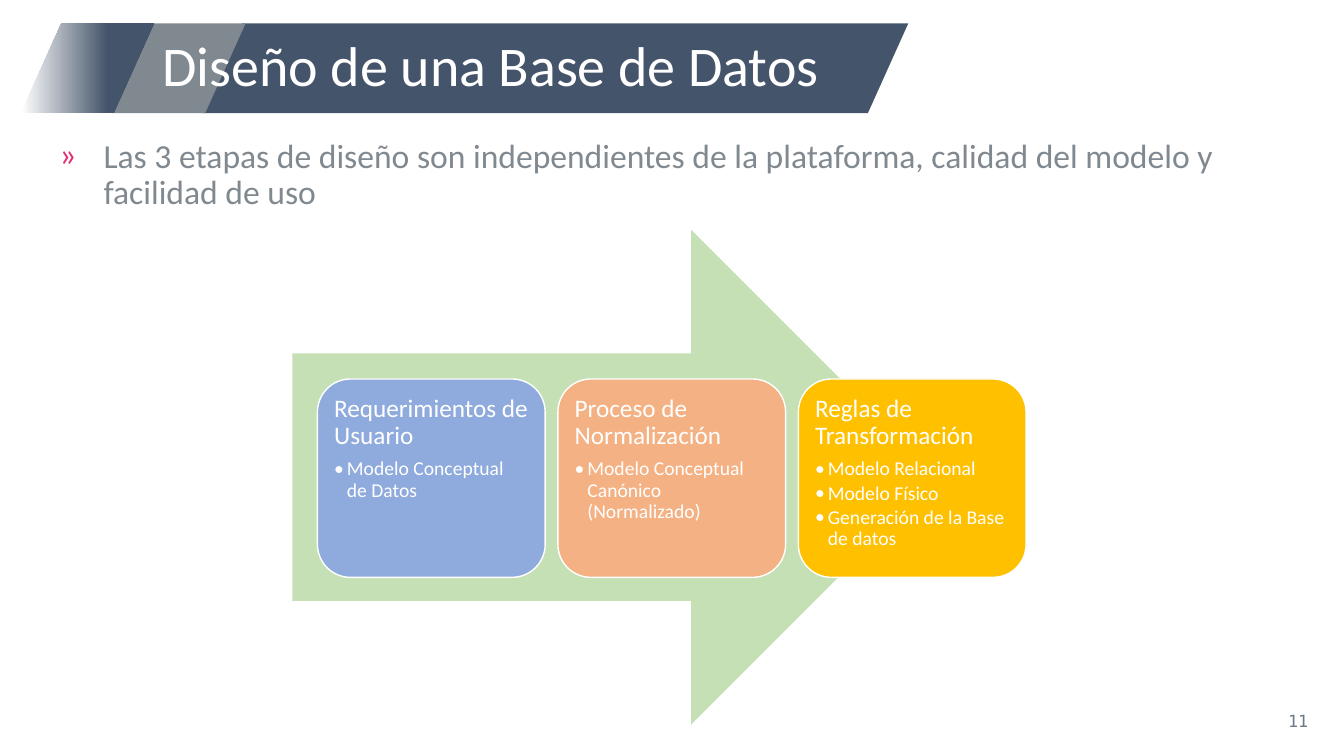
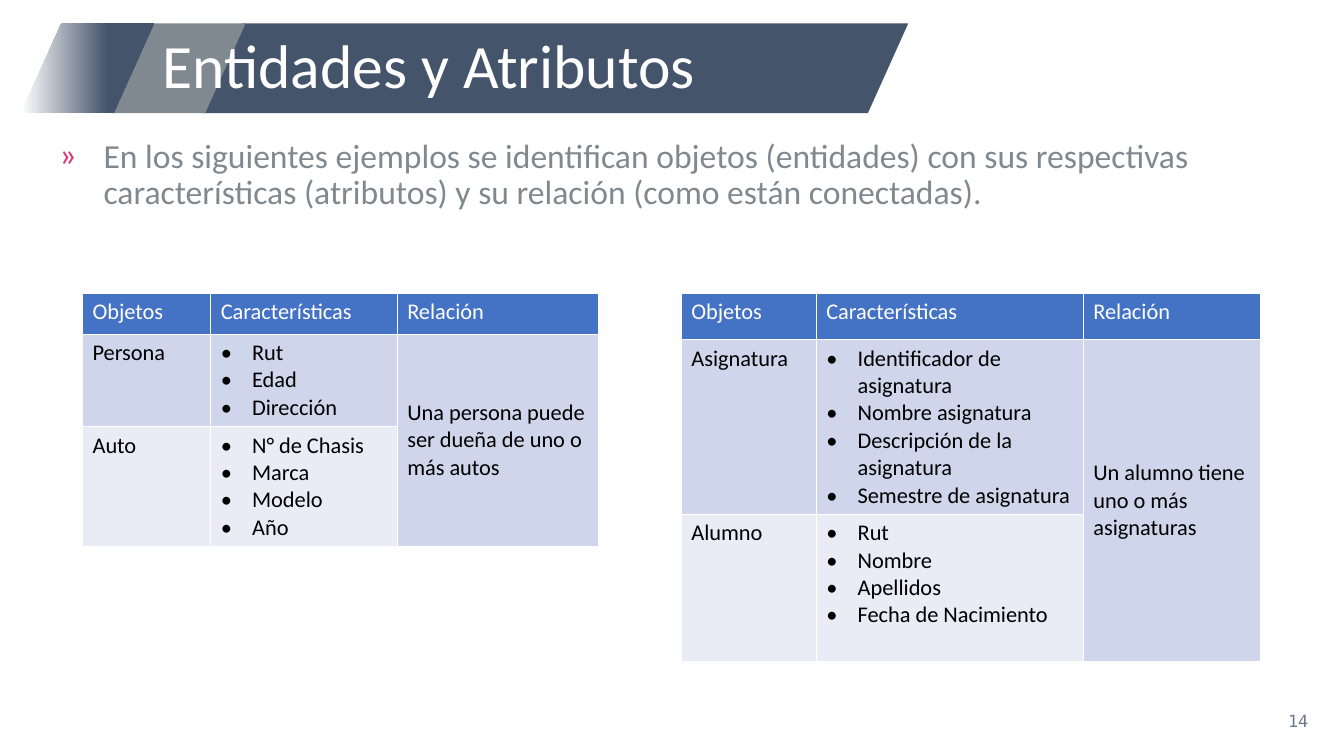
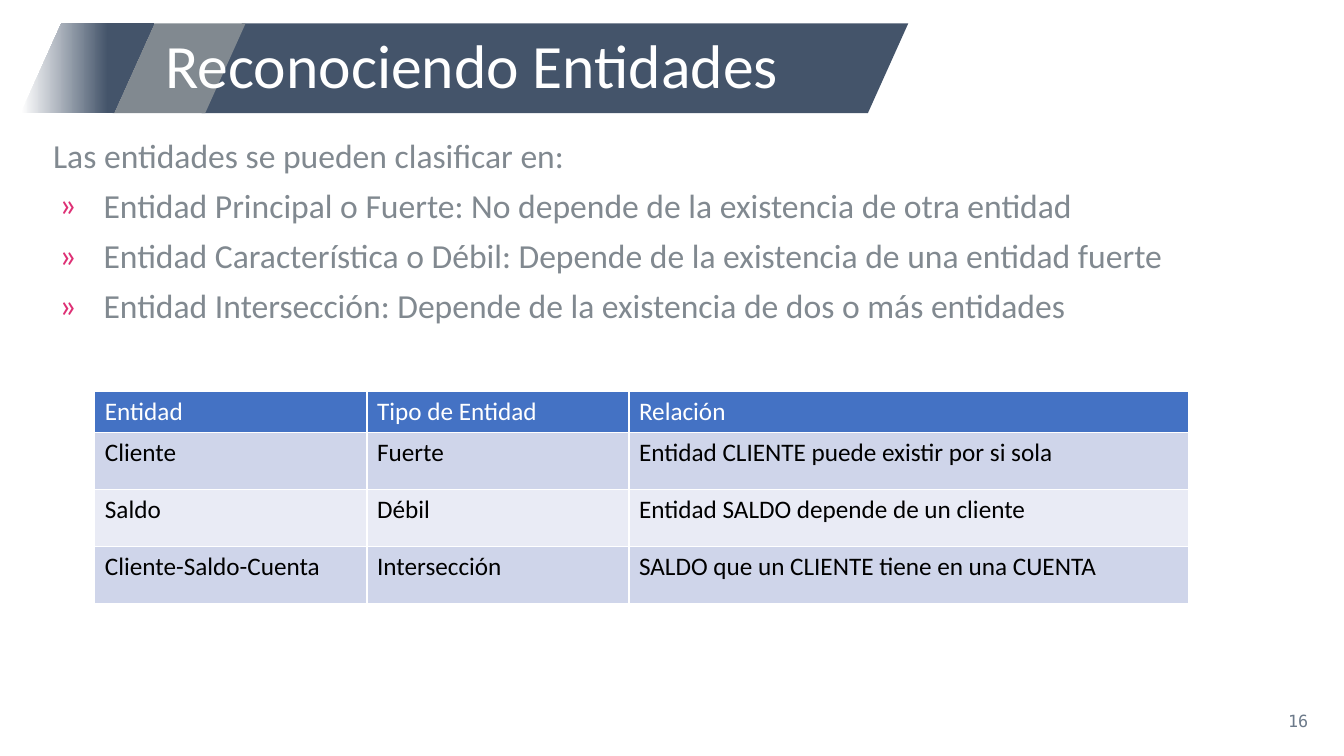
from dataclasses import dataclass

from lxml.etree import SubElement
from pptx import Presentation
from pptx.dml.color import RGBColor
from pptx.enum.shapes import MSO_SHAPE
from pptx.enum.text import MSO_ANCHOR, MSO_AUTO_SIZE, PP_ALIGN
from pptx.oxml.ns import qn
from pptx.util import Cm, Pt


@dataclass(frozen=True)
class Theme:
    font: str = "Calibri"
    number_font: str = "DejaVu Sans Mono"
    white: str = "FFFFFF"
    black: str = "000000"
    navy: str = "44546A"
    grey: str = "818990"
    number: str = "6C7A8A"
    accent: str = "DE3075"
    arrow: str = "C5E0B4"
    blue: str = "8FAADC"
    orange: str = "F4B183"
    gold: str = "FFC000"
    header: str = "4472C4"
    rows: tuple = ("CFD5EA", "E9EBF5")
    title_size: int = 44
    long_title_size: int = 40
    body_size: int = 24
    card_size: int = 18
    item_size: int = 14
    number_size: int = 12


THEME = Theme()
BAND_TOP, BAND_HEIGHT = 0.59, 2.26


def rgb(color):
    return RGBColor.from_string(color)


def apply_format(target, values):
    for name, value in values.items():
        setattr(target, name, value)


def write(paragraph, text, size, color, font=THEME.font, **values):
    apply_format(paragraph, values)
    run = paragraph.add_run()
    run.text = text
    apply_format(run.font, {"size": Pt(size), "name": font, "bold": False})
    run.font.color.rgb = rgb(color)


def add_bullet(paragraph, char, left, hanging, color=None):
    properties = paragraph._p.get_or_add_pPr()
    properties.set("marL", str(Cm(left)))
    properties.set("indent", str(-Cm(hanging)))
    if color:
        SubElement(SubElement(properties, qn("a:buClr")), qn("a:srgbClr")).set("val", color)
    SubElement(properties, qn("a:buFont")).set("typeface", THEME.font)
    SubElement(properties, qn("a:buChar")).set("char", char)


def next_paragraph(frame, index):
    return frame.add_paragraph() if index else frame.paragraphs[0]


def add_panel(slide, kind, box, color, outline=None):
    panel = slide.shapes.add_shape(kind, *map(Cm, box))
    panel.shadow.inherit = False
    panel.fill.solid()
    panel.fill.fore_color.rgb = rgb(color)
    if outline:
        panel.line.color.rgb = rgb(outline)
        panel.line.width = Pt(1)
    else:
        panel.line.fill.background()
    return panel


def add_text_frame(slide, box, **values):
    frame = slide.shapes.add_textbox(*map(Cm, box)).text_frame
    apply_format(frame, {"word_wrap": True, **values})
    return frame


def add_bands_to_layout(slide):
    layout = slide.slide_layout
    for holder in list(layout.placeholders):
        if holder.placeholder_format.idx:
            layout.shapes.element.remove(holder.element)
    for left, width, color in (
        (5.08, 17.81, THEME.navy), (2.84, 3.35, THEME.grey), (0.53, 3.35, None),
    ):
        band = add_panel(slide, MSO_SHAPE.PARALLELOGRAM,
                         (left, BAND_TOP, width, BAND_HEIGHT), color or THEME.navy)
        band.adjustments[0] = 0.45
        if color is None:
            band.fill.gradient()
            band.fill.gradient_angle = 0
            fade = ((0, THEME.white), (0.65, THEME.navy))
            for stop, (position, stop_color) in zip(band.fill.gradient_stops, fade):
                stop.position = position
                stop.color.rgb = rgb(stop_color)
        layout.shapes.element.append(band.element)


def add_slide(prs, title, number, size=THEME.title_size, left=3.84):
    slide = prs.slides.add_slide(prs.slide_layouts[5])
    heading = slide.shapes.title
    apply_format(heading, {"left": Cm(left), "top": Cm(BAND_TOP),
                           "width": Cm(19), "height": Cm(BAND_HEIGHT)})
    apply_format(heading.text_frame, {"vertical_anchor": MSO_ANCHOR.MIDDLE,
                                      "auto_size": MSO_AUTO_SIZE.NONE})
    write(heading.text_frame.paragraphs[0], title, size, THEME.white,
          alignment=PP_ALIGN.LEFT, line_spacing=0.9)
    footer = add_text_frame(slide, (25.6, 17.65, 7.62, 1.02),
                            vertical_anchor=MSO_ANCHOR.MIDDLE)
    write(footer.paragraphs[0], str(number), THEME.number_size, THEME.number,
          THEME.number_font, alignment=PP_ALIGN.RIGHT)
    return slide


def add_body(slide, points, intro=None):
    frame = add_text_frame(slide, (1.09, 3.38, 31.7, 14.27))
    lines = ([intro] if intro else []) + points
    for index, line in enumerate(lines):
        paragraph = next_paragraph(frame, index)
        if line != intro:
            add_bullet(paragraph, "»", 1.27, 1.11, THEME.accent)
        write(paragraph, line, THEME.body_size, THEME.grey, line_spacing=0.9,
              space_before=Pt(10 if index else 0))


def add_card(slide, box, color, heading, items):
    card = add_panel(slide, MSO_SHAPE.ROUNDED_RECTANGLE, box, color, THEME.white)
    frame = card.text_frame
    margins = {f"margin_{side}": Cm(0.18) for side in ("left", "top", "right", "bottom")}
    apply_format(frame, {"word_wrap": True, "vertical_anchor": MSO_ANCHOR.TOP, **margins})
    write(frame.paragraphs[0], heading, THEME.card_size, THEME.white,
          alignment=PP_ALIGN.LEFT, line_spacing=0.9, space_after=Pt(6.3))
    for item in items:
        paragraph = frame.add_paragraph()
        add_bullet(paragraph, "•", 0.32, 0.32)
        write(paragraph, item, THEME.item_size, THEME.white,
              alignment=PP_ALIGN.LEFT, line_spacing=0.9, space_after=Pt(2.1))


def style_cell(cell, color):
    properties = cell._tc.get_or_add_tcPr()
    for side in ("L", "R", "T", "B"):
        border = SubElement(properties, qn(f"a:ln{side}"), w=str(Pt(1)))
        SubElement(SubElement(border, qn("a:solidFill")), qn("a:srgbClr")).set("val", THEME.white)
    cell.fill.solid()
    cell.fill.fore_color.rgb = rgb(color)


def fill_cell(cell, content, size, color):
    bulleted = isinstance(content, list)
    for index, line in enumerate(content if bulleted else [content]):
        paragraph = next_paragraph(cell.text_frame, index)
        if bulleted:
            add_bullet(paragraph, "•", 0.79, 0.79)
        write(paragraph, line, size, color)


def add_grid(slide, left, top, widths, heights, size, rows):
    grid = slide.shapes.add_table(len(heights), len(widths), Cm(left), Cm(top),
                                  Cm(sum(widths)), Cm(sum(heights))).table
    grid.horz_banding = False
    for column, width in zip(grid.columns, widths):
        column.width = Cm(width)
    for r, (height, row) in enumerate(zip(heights, rows)):
        grid.rows[r].height = Cm(height)
        for c, content in enumerate(row):
            cell = grid.cell(r, c)
            style_cell(cell, THEME.rows[(r - 1) % 2] if r else THEME.header)
            if content is None:
                above = grid.cell(r - 1, c)
                above.merge(cell)
                above.vertical_anchor = MSO_ANCHOR.MIDDLE
            else:
                fill_cell(cell, content, size, THEME.black if r else THEME.white)


def build_design_stages(prs):
    slide = add_slide(prs, "Diseño de una Base de Datos", 11, THEME.long_title_size)
    add_bands_to_layout(slide)
    add_body(slide, ["Las 3 etapas de diseño son independientes de la plataforma, "
                     "calidad del modelo y facilidad de uso"])
    add_panel(slide, MSO_SHAPE.RIGHT_ARROW, (7.37, 5.79, 16.28, 12.47), THEME.arrow)
    stages = (
        (THEME.blue, "Requerimientos de Usuario", ["Modelo Conceptual de Datos"]),
        (THEME.orange, "Proceso de Normalización",
         ["Modelo Conceptual Canónico (Normalizado)"]),
        (THEME.gold, "Reglas de Transformación",
         ["Modelo Relacional", "Modelo Físico", "Generación de la Base de datos"]),
    )
    width, gap = 5.74, 0.32
    for index, stage in enumerate(stages):
        add_card(slide, (8 + index * (width + gap), 9.55, width, 5), *stage)


def build_attributes(prs):
    slide = add_slide(prs, "Entidades y Atributos", 14)
    add_body(slide, ["En los siguientes ejemplos se identifican objetos (entidades) con sus "
                     "respectivas características (atributos) y su relación "
                     "(como están conectadas)."])
    header = ("Objetos", "Características", "Relación")
    top, size = 7.39, 16
    add_grid(slide, 2.08, top, (3.23, 4.7, 5.08), (1.03, 2.33, 3.02), size, (
        header,
        ("Persona", ["Rut", "Edad", "Dirección"],
         "Una persona puede ser dueña de uno o más autos"),
        ("Auto", ["N° de Chasis", "Marca", "Modelo", "Año"], None),
    ))
    add_grid(slide, 17.17, top, (3.4, 6.73, 4.47), (1.17, 4.4, 3.71), size, (
        header,
        ("Asignatura",
         ["Identificador de asignatura", "Nombre asignatura",
          "Descripción de la asignatura", "Semestre de asignatura"],
         "Un alumno tiene uno o más asignaturas"),
        ("Alumno", ["Rut", "Nombre", "Apellidos", "Fecha de Nacimiento"], None),
    ))


def build_entity_types(prs):
    slide = add_slide(prs, "Reconociendo Entidades", 16, left=3.91)
    add_body(slide, [
        "Entidad Principal o Fuerte: No depende de la existencia de otra entidad",
        "Entidad Característica o Débil: Depende de la existencia de una entidad fuerte",
        "Entidad Intersección: Depende de la existencia de dos o más entidades",
    ], intro="Las entidades se pueden clasificar en:")
    add_grid(slide, 2.39, 9.86, (6.86, 6.6, 14.1), (1.03, 1.44, 1.44, 1.44), 18, (
        ("Entidad", "Tipo de Entidad", "Relación"),
        ("Cliente", "Fuerte", "Entidad CLIENTE puede existir por si sola"),
        ("Saldo", "Débil", "Entidad SALDO depende de un cliente"),
        ("Cliente-Saldo-Cuenta", "Intersección", "SALDO que un CLIENTE tiene en una CUENTA"),
    ))


def main():
    prs = Presentation()
    apply_format(prs, {"slide_width": Cm(33.87), "slide_height": Cm(19.05)})
    build_design_stages(prs)
    build_attributes(prs)
    build_entity_types(prs)
    prs.save("out.pptx")


if __name__ == "__main__":
    main()
